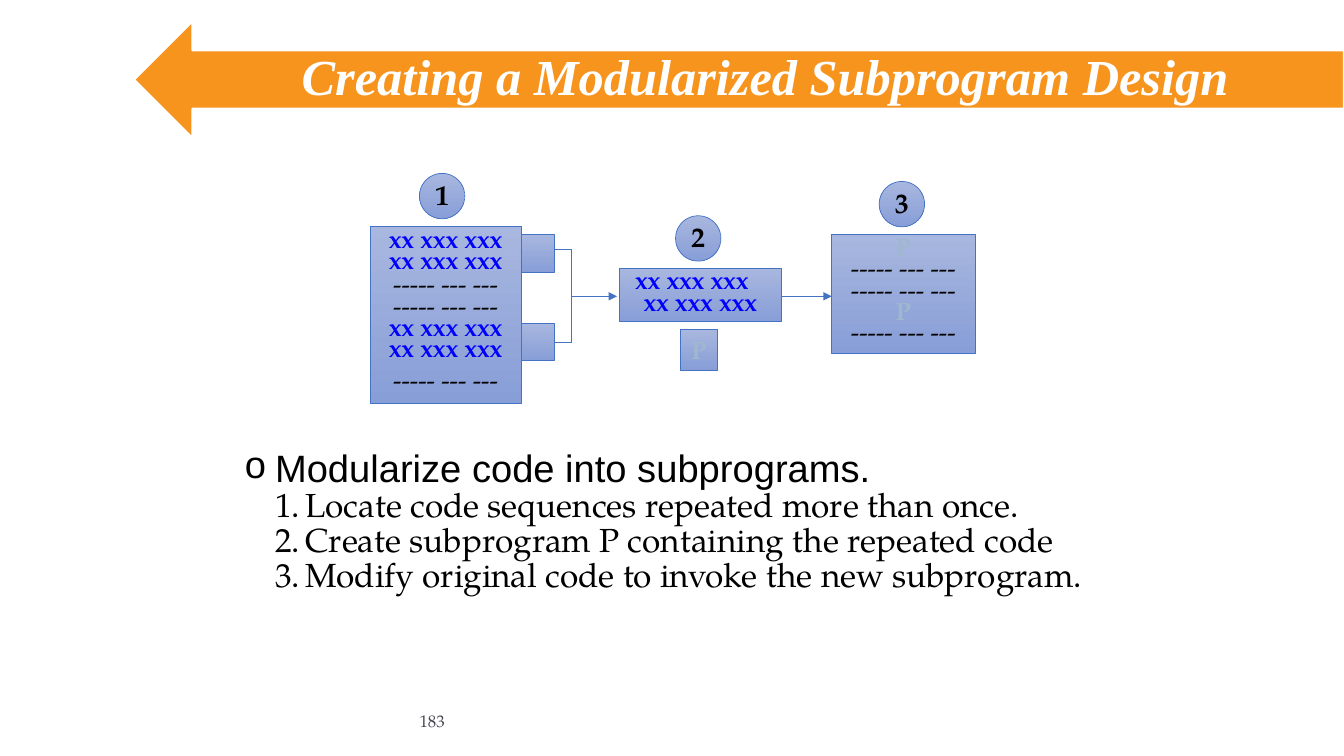
from lxml.etree import SubElement
from pptx import Presentation
from pptx.dml.color import RGBColor
from pptx.enum.shapes import MSO_CONNECTOR, MSO_SHAPE
from pptx.enum.text import MSO_ANCHOR, PP_ALIGN
from pptx.oxml.ns import qn
from pptx.util import Inches, Pt

COLORS = {
    "banner": "F7941D", "white": "FFFFFF", "black": "000000",
    "code": "0000FF", "call": "9FB8CD", "outline": "4472C4",
    "light": "A8B7DF", "deep": "889ED7", "number": "464653",
}
SERIF = "TeX Gyre Pagella"
REPEATED = "xx xxx xxx"
OTHER = "----- --- ---"
CALL = "P"
LINE_COLORS = {REPEATED: "code", OTHER: "black", CALL: "call"}


def rgb(name):
    return RGBColor.from_string(COLORS[name])


def set_frame(frame, anchor, margins=(0.1, 0.05), wrap=True):
    frame.word_wrap = wrap
    frame.vertical_anchor = anchor
    frame.margin_left = frame.margin_right = Inches(margins[0])
    frame.margin_top = frame.margin_bottom = Inches(margins[1])


def next_paragraph(frame):
    first = frame.paragraphs[0]
    return frame.add_paragraph() if first.runs else first


def write(paragraph, text, size, color, font=SERIF, bold=False, italic=False,
          align=PP_ALIGN.CENTER, spacing=1.0):
    paragraph.alignment = align
    paragraph.line_spacing = spacing
    run = paragraph.add_run()
    run.text = text
    run.font.size = Pt(size)
    run.font.name = font
    run.font.bold = bold
    run.font.italic = italic
    run.font.color.rgb = rgb(color)


def set_indent(paragraph, left, first=0):
    properties = paragraph._p.get_or_add_pPr()
    properties.set("marL", str(Inches(left)))
    properties.set("indent", str(Inches(first)))
    return properties


def add_text(slide, box, anchor=MSO_ANCHOR.MIDDLE):
    frame = slide.shapes.add_textbox(*map(Inches, box)).text_frame
    set_frame(frame, anchor)
    return frame


def add_block(slide, box, kind=MSO_SHAPE.RECTANGLE):
    block = slide.shapes.add_shape(kind, *map(Inches, box))
    block.shadow.inherit = False
    block.fill.gradient()
    block.fill.gradient_angle = 270
    for stop, name in zip(block.fill.gradient_stops, ("light", "deep")):
        stop.color.rgb = rgb(name)
    block.line.color.rgb = rgb("outline")
    block.line.width = Pt(0.5)
    return block


def add_program(slide, box, lines):
    frame = add_block(slide, box).text_frame
    set_frame(frame, MSO_ANCHOR.TOP)
    for text, spacing in lines:
        write(next_paragraph(frame), text, 18, LINE_COLORS[text],
              bold=text != OTHER, spacing=spacing)
    return frame


def add_label(slide, box, text, size, color, kind, spacing=1.0):
    frame = add_block(slide, box, kind).text_frame
    set_frame(frame, MSO_ANCHOR.MIDDLE, (0.05, 0.05), wrap=False)
    write(frame.paragraphs[0], text, size, color, bold=True, spacing=spacing)


def add_link(slide, start, end, arrow=False):
    link = slide.shapes.add_connector(
        MSO_CONNECTOR.STRAIGHT, *map(Inches, (*start, *end)))
    link.line.color.rgb = rgb("outline")
    link.line.width = Pt(0.5)
    if arrow:
        SubElement(link.line._get_or_add_ln(), qn("a:tailEnd"), type="triangle")
    SubElement(link._element.spPr, qn("a:effectLst"))


def add_banner(slide):
    banner = slide.shapes.add_shape(
        MSO_SHAPE.LEFT_ARROW, *map(Inches, (1.33, 0.21, 12, 1.16)))
    banner.shadow.inherit = False
    banner.fill.solid()
    banner.fill.fore_color.rgb = rgb("banner")
    banner.line.color.rgb = rgb("white")
    banner.line.width = Pt(1.5)
    title = add_text(slide, (1.66, 0.43, 11.86, 0.72))
    write(title.paragraphs[0], "Creating a Modularized Subprogram Design", 36,
          "white", "Times New Roman", bold=True, italic=True, spacing=0.9)


def add_diagram(slide):
    add_program(slide, (3.67, 2.25, 1.5, 1.75), [
        (REPEATED, 0.7), (REPEATED, 0.7), (OTHER, 0.8), (OTHER, 0.7),
        (REPEATED, 0.7), (REPEATED, 0.7), (OTHER, 1.1)])
    subprogram = add_program(slide, (6.14, 2.66, 1.61, 0.53),
                             [(REPEATED, 0.7)] * 2)
    subprogram.paragraphs[0].alignment = PP_ALIGN.LEFT
    set_indent(subprogram.paragraphs[0], 0.06)
    add_program(slide, (8.25, 2.33, 1.42, 1.18), [
        (text, 0.7) for text in (CALL, OTHER, OTHER, CALL, OTHER)])

    for tab_top, link_y in ((2.33, 2.47), (3.21, 3.4)):
        add_block(slide, (5.17, tab_top, 0.33, 0.37))
        add_link(slide, (5.5, link_y), (5.67, link_y))
    add_link(slide, (5.67, 2.47), (5.67, 3.4))
    for start, end in ((5.67, 6.12), (7.75, 8.25)):
        add_link(slide, (start, 2.94), (end, 2.94), arrow=True)

    add_label(slide, (6.75, 3.27, 0.37, 0.4), CALL, 18, "call",
              MSO_SHAPE.RECTANGLE)
    for step, (left, top) in enumerate(
            ((4.16, 1.72), (6.7, 2.14), (8.72, 1.8)), 1):
        add_label(slide, (left, top, 0.45, 0.45), str(step), 20, "black",
                  MSO_SHAPE.OVAL, 0.95)


def add_steps(slide):
    frame = add_text(slide, (2.33, 4.48, 8.66, 1.5), MSO_ANCHOR.TOP)
    heading = frame.paragraphs[0]
    properties = set_indent(heading, 0.3, -0.3)
    SubElement(properties, qn("a:buFont"), typeface="Arial")
    SubElement(properties, qn("a:buChar"), char="o")
    write(heading, "Modularize code into subprograms.", 27.2, "black", "Arial",
          align=PP_ALIGN.LEFT, spacing=0.7)
    for text in ("Locate code sequences repeated more than once.",
                 "Create subprogram P containing the repeated code",
                 "Modify original code to invoke the new subprogram."):
        step = next_paragraph(frame)
        step.level = 1
        SubElement(set_indent(step, 0.6, -0.3), qn("a:buAutoNum"),
                   type="arabicPeriod")
        step.space_before = Pt(5)
        write(step, text, 23.8, "black", align=PP_ALIGN.LEFT, spacing=0.7)


def main():
    deck = Presentation()
    deck.slide_width = Inches(13.33)
    deck.slide_height = Inches(7.5)
    slide = deck.slides.add_slide(deck.slide_layouts[6])
    add_banner(slide)
    add_steps(slide)
    add_diagram(slide)
    page = add_text(slide, (2.34, 6.95, 2.17, 0.4))
    write(page.paragraphs[0], "183", 12, "number", align=PP_ALIGN.RIGHT)
    deck.save("out.pptx")


if __name__ == "__main__":
    main()
